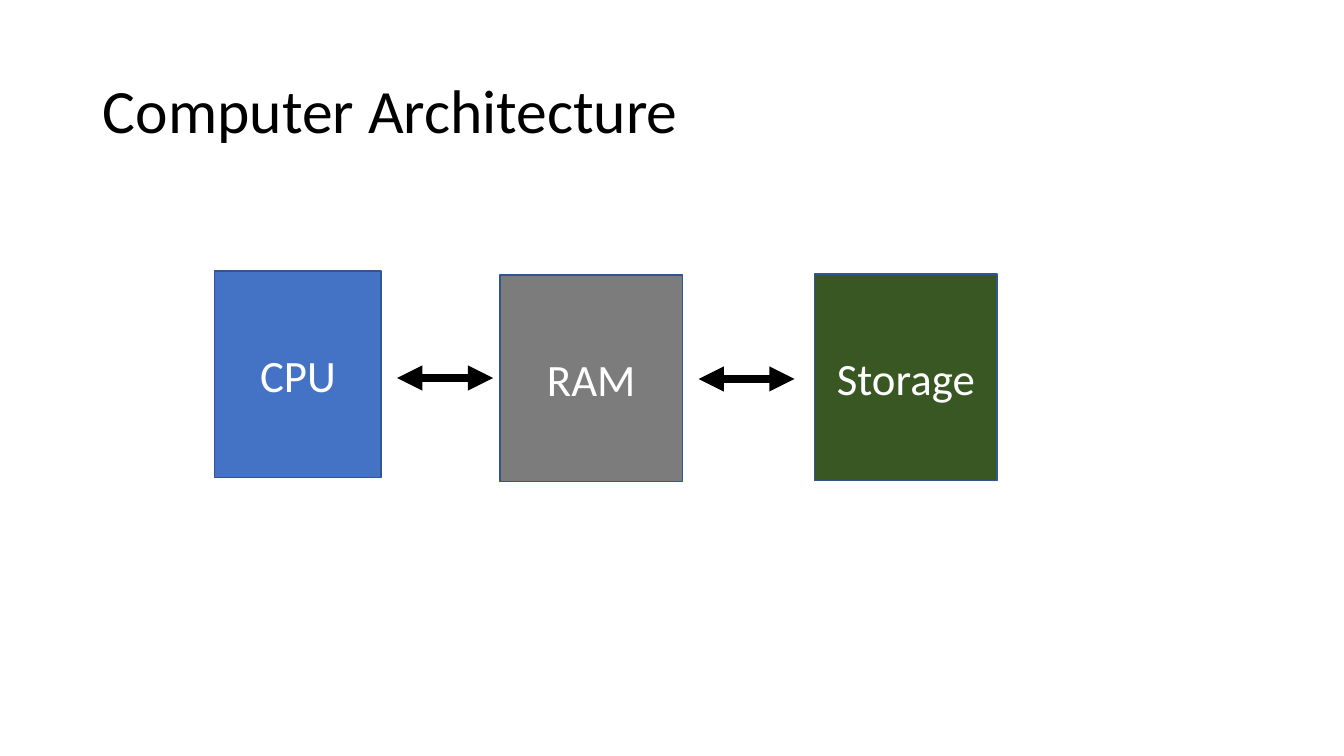
from dataclasses import dataclass
from typing import Any

from pptx import Presentation
from pptx.dml.color import RGBColor
from pptx.enum.shapes import MSO_CONNECTOR as Connector, MSO_SHAPE as Shape
from pptx.enum.text import MSO_ANCHOR as Anchor, MSO_AUTO_SIZE as AutoSize, PP_ALIGN as Align
from pptx.oxml.ns import qn
from pptx.util import Emu, Pt
from lxml.etree import SubElement

EMU_PER_PX = 9144  # 100 px to the inch
FONT = "Calibri"
OUTLINE = "325491"


@dataclass(frozen=True)
class Component:
    label: str
    left: int
    top: int
    width: int
    fill: str
    height: int = 205


@dataclass(frozen=True)
class Link:
    left: int
    y: int
    length: int = 95


COMPONENTS = [
    Component("CPU", 213, 269, 165, "4472C4"),
    Component("RAM", 496, 273, 181, "7C7C7C"),
    Component("Storage", 808, 272, 181, "385723"),
]
LINKS = [Link(394, 375), Link(693, 376)]


def px(value: int) -> Emu:
    return Emu(value * EMU_PER_PX)


def color(value: str) -> RGBColor:
    return RGBColor.from_string(value)


def set_attributes(target: Any, values: dict[str, Any]) -> None:
    for name, value in values.items():
        setattr(target, name, value)


def write_text(shape: Any, text: str, size: int, text_color: str,
               align: Align, line_spacing: float = 1.0) -> None:
    frame = shape.text_frame
    set_attributes(frame, {"text": text, "word_wrap": True, "auto_size": AutoSize.NONE,
                           "vertical_anchor": Anchor.MIDDLE})
    paragraph = frame.paragraphs[0]
    set_attributes(paragraph, {"alignment": align, "line_spacing": line_spacing})
    font = paragraph.runs[0].font
    set_attributes(font, {"name": FONT, "size": Pt(size)})
    font.color.rgb = color(text_color)


def set_line(shape: Any, line_color: str, width: int) -> None:
    shape.line.color.rgb = color(line_color)
    shape.line.width = Pt(width)


def add_title(slide: Any, text: str) -> None:
    title = slide.shapes.title
    set_attributes(title, {"left": px(92), "top": px(40), "width": px(1150), "height": px(145)})
    write_text(title, text, 44, "000000", Align.LEFT, 0.9)


def add_component(slide: Any, component: Component) -> None:
    shape = slide.shapes.add_shape(Shape.RECTANGLE, px(component.left), px(component.top),
                                   px(component.width), px(component.height))
    shape.shadow.inherit = False
    shape.fill.solid()
    shape.fill.fore_color.rgb = color(component.fill)
    set_line(shape, OUTLINE, 1)
    write_text(shape, component.label, 32, "FFFFFF", Align.CENTER)


def add_link(slide: Any, link: Link) -> None:
    connector = slide.shapes.add_connector(Connector.STRAIGHT, px(link.left), px(link.y),
                                           px(link.left + link.length), px(link.y))
    set_line(connector, "000000", 6)
    # Arrowheads at both ends, no shadow
    line = connector.line._get_or_add_ln()
    for end in ("a:headEnd", "a:tailEnd"):
        SubElement(line, qn(end), type="triangle")
    SubElement(connector._element.spPr, qn("a:effectLst"))


def main() -> None:
    presentation = Presentation()
    set_attributes(presentation, {"slide_width": px(1333), "slide_height": px(750)})
    title_only = presentation.slide_layouts[5]
    slide = presentation.slides.add_slide(title_only)

    add_title(slide, "Computer Architecture")
    # Hardware blocks
    for component in COMPONENTS:
        add_component(slide, component)
    # Two-way data paths
    for link in LINKS:
        add_link(slide, link)

    presentation.save("out.pptx")


if __name__ == "__main__":
    main()
